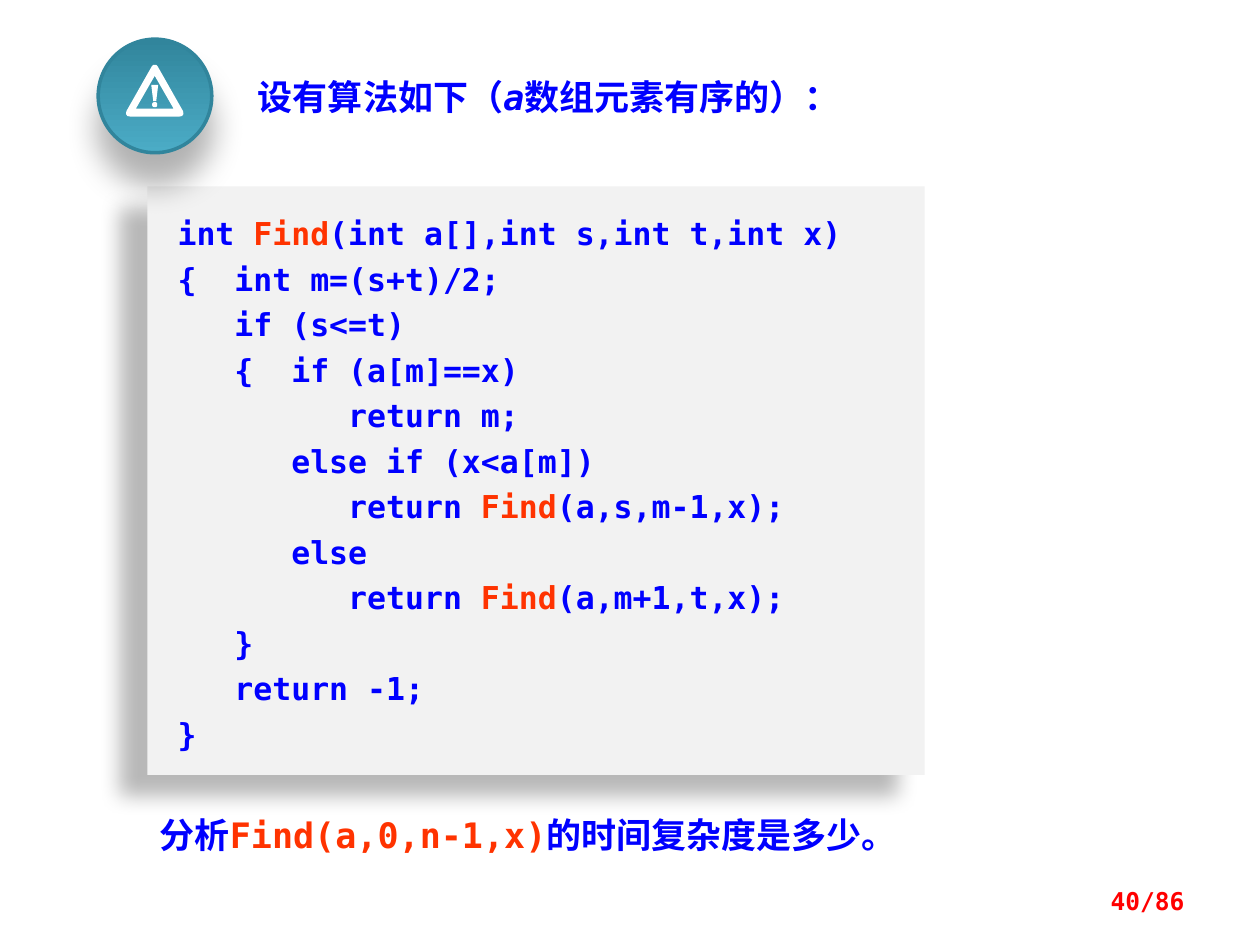
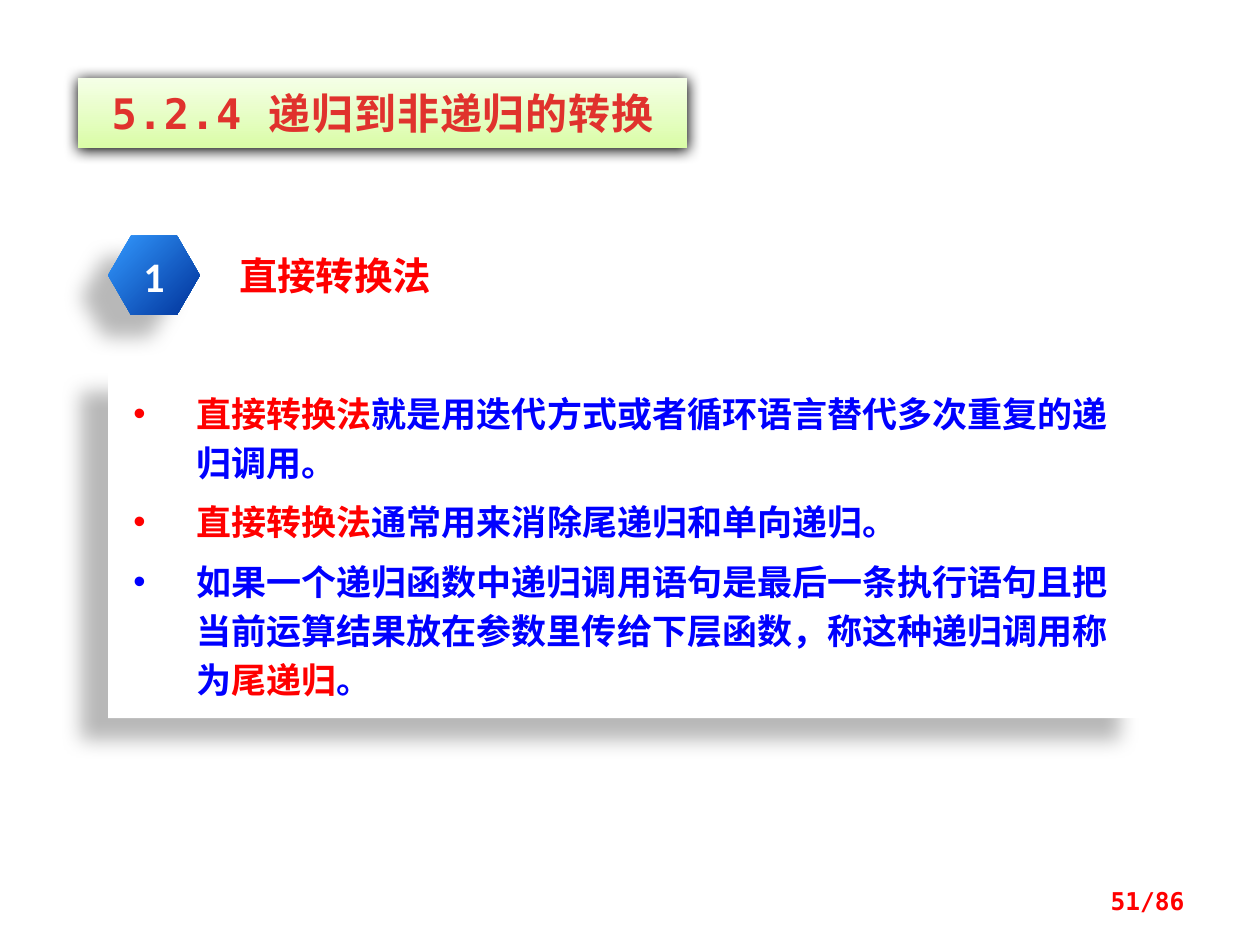
from collections import namedtuple
from math import cos, pi, sin

from lxml import etree
from pptx import Presentation
from pptx.dml.color import RGBColor
from pptx.enum.shapes import MSO_SHAPE
from pptx.enum.text import MSO_ANCHOR, PP_ALIGN
from pptx.oxml.ns import qn
from pptx.util import Cm, Pt

RECT, OVAL, HEX = MSO_SHAPE.RECTANGLE, MSO_SHAPE.OVAL, MSO_SHAPE.HEXAGON
TOP, MIDDLE = MSO_ANCHOR.TOP, MSO_ANCHOR.MIDDLE
LEFT, CENTER, RIGHT = PP_ALIGN.LEFT, PP_ALIGN.CENTER, PP_ALIGN.RIGHT

Box = namedtuple("Box", "x y w h")  # centimetres
Shade = namedtuple("Shade", "alpha blur dist angle")  # %, pt, pt, degrees


class Theme:
    blue, red, orange, white = "0000FF", "FF0000", "FF3300", "FFFFFF"
    crimson, gray = "E0322D", "F2F2F2"
    teal, lime, navy = ("31859C", "4BACC6"), ("DAFDA7", "F5FFE7"), ("3399FF", "003299")
    mono, sans, digit = "DejaVu Sans Mono", "Noto Sans CJK SC", "Calibri"
    page, code, body, label, head = 14, 18, 20, 22, 24
    side = Shade(28, 11.8, 19.7, 141)
    drop = Shade(30, 18, 18, 90)
    glow = Shade(100, 8.5, 1, 90)


PAGE = Box(18.21, 17.65, 5.92, 1.02)

# Text between bars takes the accent colour
CODE = """int |Find|(int a[],int s,int t,int x)
{  int m=(s+t)/2;
   if (s<=t)
   {  if (a[m]==x)
         return m;
      else if (x<a[m])
         return |Find|(a,s,m-1,x);
      else
         return |Find|(a,m+1,t,x);
   }
   return -1;
}""".split("\n")

POINTS = [
    "|直接转换法|就是用迭代方式或者循环语言替代多次重复的递归调用。",
    "|直接转换法|通常用来消除尾递归和单向递归。",
    "如果一个递归函数中递归调用语句是最后一条执行语句且把当前运算结果"
    "放在参数里传给下层函数，称这种递归调用称为|尾递归|。",
]


def rgb(color):
    return RGBColor.from_string(color)


def place(box):
    return [Cm(side) for side in box]


def inner(box, dx, dy, w, h):
    return Box(box.x + dx, box.y + dy, w, h)


def bullet(para, color):
    props = para._p.get_or_add_pPr()
    props.set("marL", str(Cm(1.27)))
    props.set("indent", str(Cm(-1.27)))
    tint = etree.SubElement(props, qn("a:buClr"))
    etree.SubElement(tint, qn("a:srgbClr"), val=color)
    etree.SubElement(props, qn("a:buFont"), typeface="Arial")
    etree.SubElement(props, qn("a:buChar"), char="•")


def write(frame, lines, size, color, accent=None, face=Theme.mono, bold=True,
          align=LEFT, pitch=None, gap=0, dots=False):
    """Fill a text frame, one paragraph a line."""
    for row, line in enumerate(lines):
        para = frame.add_paragraph() if row else frame.paragraphs[0]
        if dots:
            bullet(para, accent if line.startswith("|") else color)
        para.alignment = align
        if pitch:
            para.line_spacing = Pt(pitch)
        if row and gap:
            para.space_before = Pt(gap)
        font = para.font
        font.name, font.size, font.bold = face, Pt(size), bold
        font.color.rgb = rgb(color)
        base = para._p.pPr.find(qn("a:defRPr"))
        etree.SubElement(base, qn("a:ea"), typeface=Theme.sans)
        for part, text in enumerate(line.split("|")):
            if text:
                run = para.add_run()
                run.text = text
                if part % 2:
                    run.font.color.rgb = rgb(accent or color)


def label(slide, box, text, size, color, anchor=TOP, wrap=True, **style):
    frame = slide.shapes.add_textbox(*place(box)).text_frame
    frame.word_wrap = wrap
    frame.vertical_anchor = anchor
    write(frame, [text], size, color, **style)
    return frame


def shade(shape, cast):
    shape.shadow.inherit = False
    effects = shape._element.spPr.find(qn("a:effectLst"))
    outer = etree.SubElement(
        effects, qn("a:outerShdw"), blurRad=str(Pt(cast.blur)),
        dist=str(Pt(cast.dist)), dir=str(cast.angle * 60000),
        algn="ctr", rotWithShape="0")
    tint = etree.SubElement(outer, qn("a:srgbClr"), val="000000")
    etree.SubElement(tint, qn("a:alpha"), val=str(cast.alpha * 1000))


def solid(shape, color):
    shape.fill.solid()
    shape.fill.fore_color.rgb = rgb(color)
    shape.line.fill.background()


def blend(shape, colors, angle):
    shape.fill.gradient()
    shape.fill.gradient_angle = angle
    for stop, color in zip(shape.fill.gradient_stops, colors):
        stop.color.rgb = rgb(color)
    shape.line.fill.background()


def panel(slide, box, left, pad, cast=Theme.side):
    """Shadowed rectangle, returned with its text frame."""
    shape = slide.shapes.add_shape(RECT, *place(box))
    shade(shape, cast)
    frame = shape.text_frame
    frame.word_wrap = True
    frame.vertical_anchor = TOP
    frame.margin_left, frame.margin_right = Cm(left), Cm(0.25)
    frame.margin_top = frame.margin_bottom = Cm(pad)
    return shape, frame


def warn(slide, box):
    """Round badge with a warning sign."""
    disc = slide.shapes.add_shape(OVAL, *place(box))
    blend(disc, Theme.teal, 270)
    disc.line.color.rgb = rgb(Theme.teal[0])
    disc.line.width = Pt(2)
    shade(disc, Theme.drop)

    # Outlines in hundredths of a centimetre
    mid = 58
    half = [(61, 1), (64, 4), (115, 94), (116, 100), (113, 104), (108, 105)]
    edge = half + [(2 * mid - x, y) for x, y in reversed(half)]
    hole = [(mid, 23), (20, 89), (96, 89)]
    bar = [(51, 41), (65, 41), (61, 74), (55, 74)]
    dot = [(mid + 5 * cos(k * pi / 8), 81 + 5 * sin(k * pi / 8)) for k in range(16)]
    pen = slide.shapes.build_freeform(*edge[0], scale=Cm(0.01))
    pen.add_line_segments(edge[1:])
    for ring in (hole, bar, dot):
        pen.move_to(*ring[0])
        pen.add_line_segments(ring[1:])
    sign = pen.convert_to_shape(Cm(box.x + 0.56), Cm(box.y + 0.51))
    solid(sign, Theme.white)
    sign.shadow.inherit = False


def mark(slide, box, text):
    """Numbered hexagon."""
    shape = slide.shapes.add_shape(HEX, *place(box))
    shape.adjustments[0] = 0.289
    blend(shape, Theme.navy, 315)
    shade(shape, Theme.side)
    label(slide, inner(box, 0.43, 0.18, 0.99, 1.27), text, Theme.head,
          Theme.white, wrap=False, face=Theme.digit, align=CENTER)


def listing(slide, box):
    """Code on a gray panel."""
    shape, frame = panel(slide, box, 0.61, 0.41)
    solid(shape, Theme.gray)
    write(frame, CODE, Theme.code, Theme.blue, Theme.orange, pitch=26)


def notes(slide, box):
    """Bulleted text on a white panel."""
    shape, frame = panel(slide, box, 0.51, 0.3)
    solid(shape, Theme.white)
    write(frame, POINTS, Theme.body, Theme.blue, Theme.red,
          pitch=28, gap=6, dots=True)


def banner(slide, box, text):
    """Section heading on a green band."""
    shape, frame = panel(slide, box, 0.25, 0.2, Theme.glow)
    blend(shape, Theme.lime, 90)
    write(frame, [text], Theme.head, Theme.crimson, align=CENTER)
    frame.paragraphs[0].runs[0]._r.get_or_add_rPr().set("spc", "50")


def footer(slide, number):
    label(slide, PAGE, f"{number}/86", Theme.page, Theme.red,
          anchor=MIDDLE, align=RIGHT)


def problem(slide):
    intro = label(slide, Box(4.95, 1.4, 12.29, 1.14),
                  "设有算法如下（|a|数组元素有序的）：", Theme.body, Theme.blue)
    intro.paragraphs[0].runs[1].font.italic = True
    listing(slide, Box(2.97, 3.76, 15.67, 11.86))
    label(slide, Box(2.97, 16.28, 18.64, 1.19),
          "分析|Find(a,0,n-1,x)|的时间复杂度是多少。",
          Theme.body, Theme.blue, accent=Theme.orange)
    warn(slide, Box(1.98, 0.79, 2.29, 2.29))
    footer(slide, 40)


def method(slide):
    banner(slide, Box(1.57, 1.57, 12.29, 1.42), "5.2.4 递归到非递归的转换")
    label(slide, Box(4.57, 4.95, 5.16, 1.19), "直接转换法",
          Theme.label, Theme.red, face=Theme.sans)
    notes(slide, Box(2.18, 7.47, 20.93, 7.01))
    mark(slide, Box(2.18, 4.75, 1.85, 1.6), "1")
    footer(slide, 51)


def main():
    deck = Presentation()
    deck.slide_width, deck.slide_height = Cm(25.4), Cm(19.05)
    for build in (problem, method):
        build(deck.slides.add_slide(deck.slide_layouts[6]))
    deck.save("out.pptx")


if __name__ == "__main__":
    main()
